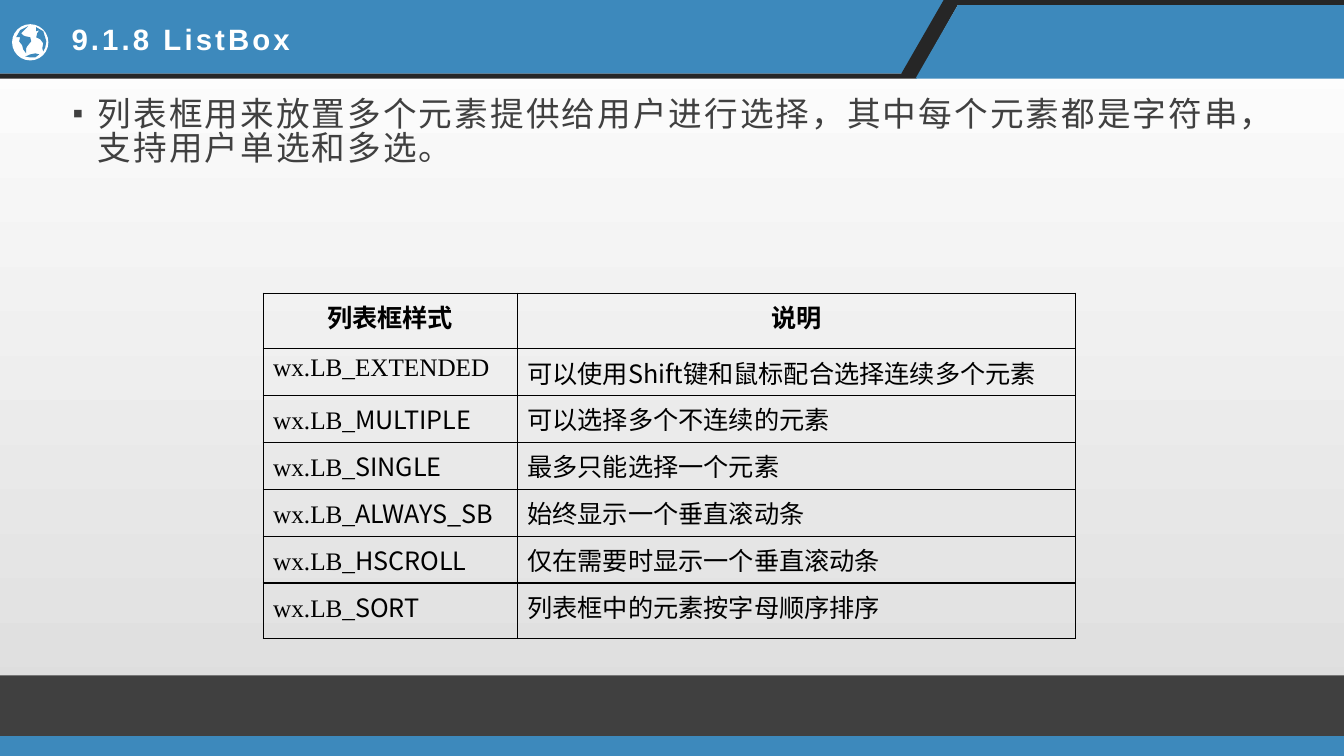
from lxml import etree
from pptx import Presentation
from pptx.dml.color import RGBColor
from pptx.enum.shapes import MSO_SHAPE
from pptx.enum.text import MSO_ANCHOR, PP_ALIGN
from pptx.oxml import parse_xml
from pptx.oxml.ns import nsdecls, qn
from pptx.util import Inches, Pt

RECTANGLE, OVAL = MSO_SHAPE.RECTANGLE, MSO_SHAPE.OVAL
LEFT, CENTER = PP_ALIGN.LEFT, PP_ALIGN.CENTER
TOP, MIDDLE = MSO_ANCHOR.TOP, MSO_ANCHOR.MIDDLE
COLORS = {
    "blue": "3D89BC", "black_band": "262626", "gray_band": "404040", "body": "404040",
    "white": "FFFFFF", "background_end": "DCDCDC", "black": "000000",
}
SANS, SERIF, CJK = "Arial", "Times New Roman", "Noto Sans CJK SC"

presentation = Presentation()
presentation.slide_width = Inches(13.33)
presentation.slide_height = Inches(7.5)
slide = presentation.slides.add_slide(presentation.slide_layouts[5])

background = slide.background.fill
background.gradient()
background.gradient_angle = 270
for stop, name in zip(background.gradient_stops, ("white", "background_end")):
    stop.color.rgb = RGBColor.from_string(COLORS[name])


def add_solid(color, points=None, preset=None, box=None):
    """Add an unlined polygon through points, or a preset shape in box, in inches."""
    if points:
        corners = [(Inches(x), Inches(y)) for x, y in points]
        builder = slide.shapes.build_freeform(*corners[0], scale=1.0)
        builder.add_line_segments(corners[1:], close=True)
        shape = builder.convert_to_shape()
    else:
        shape = slide.shapes.add_shape(preset, *map(Inches, box))
    shape.shadow.inherit = False
    shape.fill.solid()
    shape.fill.fore_color.rgb = RGBColor.from_string(COLORS[color])
    shape.line.fill.background()


def add_text(paragraph, text, size, color="black", font=CJK, bold=False, spacing=0, align=LEFT):
    paragraph.alignment = align
    run = paragraph.add_run()
    run.text = text
    run.font.size = Pt(size)
    run.font.bold = bold
    run.font.name = font
    run.font.color.rgb = RGBColor.from_string(COLORS[color])
    properties = run._r.get_or_add_rPr()
    properties.set("spc", str(round(spacing * 100)))
    east_asian = etree.SubElement(properties, qn("a:ea"))
    east_asian.set("typeface", CJK)


# Header and footer bands
add_solid("blue", [(0, 0), (9.4, 0), (8.99, 0.73), (0, 0.73)])
add_solid("black_band", [(9.36, 0), (13.33, 0), (13.33, 0.05), (9.5, 0.05), (9.09, 0.78),
                         (0, 0.78), (0, 0.73), (8.94, 0.73)])
add_solid("blue", [(9.5, 0.05), (13.33, 0.05), (13.33, 0.78), (9.08, 0.78)])
add_solid("blue", preset=RECTANGLE, box=(0, 7.29, 13.33, 0.21))
add_solid("gray_band", preset=RECTANGLE, box=(0, 6.7, 13.33, 0.6))

# Globe icon
add_solid("white", preset=OVAL, box=(0.12, 0.24, 0.36, 0.36))
globe_areas = [
    [(0.46, 0.41), (0.45, 0.47), (0.43, 0.51), (0.42, 0.48), (0.43, 0.43), (0.4, 0.39),
     (0.36, 0.37), (0.37, 0.33), (0.39, 0.3), (0.36, 0.31), (0.36, 0.27), (0.43, 0.31)],
    [(0.28, 0.26), (0.26, 0.28), (0.24, 0.3), (0.21, 0.33), (0.23, 0.35), (0.25, 0.36),
     (0.3, 0.37), (0.31, 0.41), (0.27, 0.46), (0.26, 0.48), (0.26, 0.53), (0.23, 0.49),
     (0.22, 0.45), (0.19, 0.41), (0.2, 0.37), (0.16, 0.37), (0.2, 0.3)],
    [(0.25, 0.56), (0.28, 0.55), (0.3, 0.54), (0.35, 0.53), (0.39, 0.54), (0.35, 0.57),
     (0.3, 0.57)],
]
for area in globe_areas:
    add_solid("blue", area)

# Title, brought in front of the header band
title = slide.shapes.title
title.left, title.top, title.width, title.height = map(Inches, (0.61, 0.16, 5.9, 0.45))
title.text_frame.vertical_anchor = MIDDLE
add_text(title.text_frame.paragraphs[0], "9.1.8 ListBox", 21, "white", SANS, bold=True, spacing=2.2)
title.element.getparent().append(title.element)

# Body
body = slide.shapes.add_textbox(*map(Inches, (0.61, 0.98, 12.2, 1)))
frame = body.text_frame
frame.word_wrap = True
frame.margin_left, frame.margin_right = Inches(0.11), Inches(0.09)
frame.margin_top = frame.margin_bottom = 0
paragraph = frame.paragraphs[0]
paragraph_properties = paragraph._p.get_or_add_pPr()
paragraph_properties.set("marL", str(Inches(0.25)))
paragraph_properties.set("indent", str(Inches(-0.25)))
for tag, attribute, value in (("a:buSzPct", "val", "90000"), ("a:buFont", "typeface", SANS),
                              ("a:buChar", "char", "▪")):
    etree.SubElement(paragraph_properties, qn(tag)).set(attribute, value)
paragraph.line_spacing = 0.85
add_text(paragraph, "列表框用来放置多个元素提供给用户进行选择，其中每个元素都是字符串，支持用户单选和多选。",
         24, "body", SANS, spacing=1.5)

# Table of styles
PREFIX = "wx.LB_"
styles = [
    ("列表框样式", "说明"),
    ("EXTENDED", "可以使用Shift键和鼠标配合选择连续多个元素"),
    ("MULTIPLE", "可以选择多个不连续的元素"),
    ("SINGLE", "最多只能选择一个元素"),
    ("ALWAYS_SB", "始终显示一个垂直滚动条"),
    ("HSCROLL", "仅在需要时显示一个垂直滚动条"),
    ("SORT", "列表框中的元素按字母顺序排序"),
]
table = slide.shapes.add_table(len(styles), 2, *map(Inches, (2.61, 2.91, 8.06, 3.42))).table
table.first_row = table.horz_banding = False
for column, width in zip(table.columns, (2.52, 5.54)):
    column.width = Inches(width)

for row_index, texts in enumerate(styles):
    header = row_index == 0
    table.rows[row_index].height = Inches(0.55 if row_index in (0, len(styles) - 1) else 0.465)
    for column_index, text in enumerate(texts):
        cell = table.cell(row_index, column_index)
        cell.vertical_anchor = TOP
        cell_properties = cell._tc.get_or_add_tcPr()
        for side in ("lnL", "lnR", "lnT", "lnB"):
            cell_properties.append(parse_xml(
                f'<a:{side} {nsdecls("a")} w="{Pt(1)}"><a:solidFill>'
                f'<a:srgbClr val="{COLORS["black"]}"/></a:solidFill></a:{side}>'))
        cell.fill.background()
        paragraph = cell.text_frame.paragraphs[0]
        if header:
            add_text(paragraph, text, 18, bold=True, align=CENTER)
        elif column_index == 0 and text == "EXTENDED":
            add_text(paragraph, PREFIX + text, 18, font=SERIF)
        else:
            if column_index == 0:
                add_text(paragraph, PREFIX, 18, font=SERIF)
            add_text(paragraph, text, 18)

presentation.save("out.pptx")
